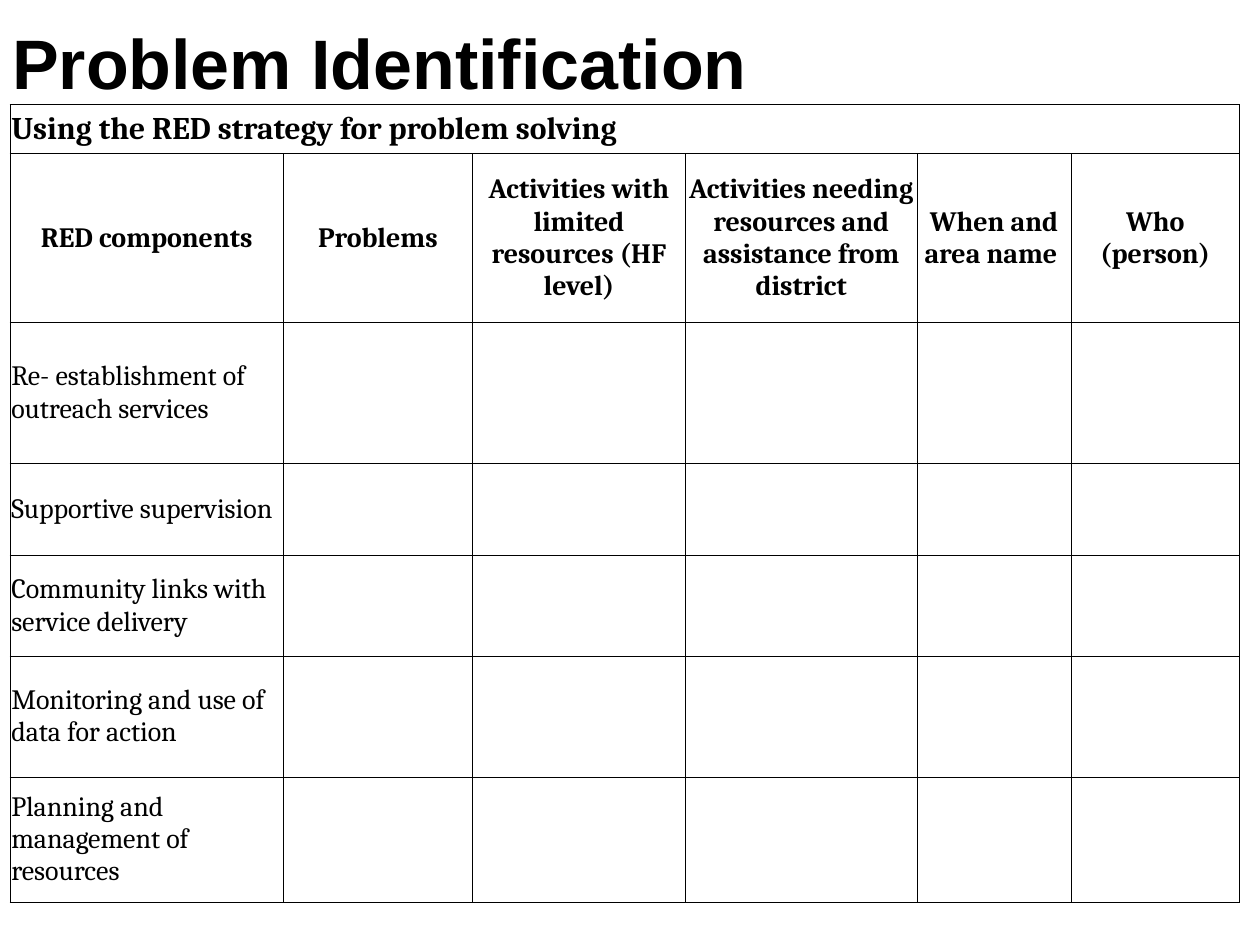
from dataclasses import dataclass

from lxml import etree
from pptx import Presentation
from pptx import util as u
from pptx.dml.color import RGBColor
from pptx.enum import text
from pptx.oxml.ns import qn

BLACK = "000000"
BORDER_WIDTH = u.Pt(0.45)
COLUMN_WIDTHS = (2.17, 1.5, 1.69, 1.84, 1.22, 1.34)
ROW_HEIGHTS = (0.31, 1.34, 1.12, 0.73, 0.8, 0.96, 0.99)
CAPTION = "Using the RED strategy for problem solving"
HEADINGS = (
    "RED components",
    "Problems",
    "Activities with limited resources (HF level)",
    "Activities needing resources and assistance from district",
    "When and area name ",
    "Who (person)",
)
COMPONENTS = (
    "Re- establishment of outreach services",
    "Supportive supervision",
    "Community links with service delivery",
    "Monitoring and use of data for action",
    "Planning and management of resources",
)


@dataclass(frozen=True)
class TextStyle:
    size: int
    bold: bool = False
    font: str = "Cambria"
    alignment: text.PP_ALIGN = text.PP_ALIGN.LEFT
    anchor: text.MSO_ANCHOR = text.MSO_ANCHOR.MIDDLE


TITLE_STYLE = TextStyle(40, bold=True, font="Arial")
CAPTION_STYLE = TextStyle(18, bold=True, anchor=text.MSO_ANCHOR.BOTTOM)
HEADING_STYLE = TextStyle(16, bold=True, alignment=text.PP_ALIGN.CENTER)
COMPONENT_STYLE = TextStyle(16)


def color(value: str) -> RGBColor:
    return RGBColor.from_string(value)


def write(container, wording: str, style: TextStyle) -> None:
    """Put styled wording in a table cell or a text frame."""
    container.vertical_anchor = style.anchor
    frame = getattr(container, "text_frame", container)
    frame.text = wording
    paragraph = frame.paragraphs[0]
    paragraph.alignment = style.alignment
    font = paragraph.runs[0].font
    font.name = style.font
    font.size = u.Pt(style.size)
    font.bold = style.bold
    font.color.rgb = color(BLACK)


def outline(cell) -> None:
    """Draw a thin border on all four sides of the cell."""
    properties = cell._tc.get_or_add_tcPr()
    for side in ("a:lnL", "a:lnR", "a:lnT", "a:lnB"):
        line = etree.SubElement(properties, qn(side), w=str(int(BORDER_WIDTH)))
        fill = etree.SubElement(line, qn("a:solidFill"))
        etree.SubElement(fill, qn("a:srgbClr"), val=BLACK)


def add_title(slide) -> None:
    box = slide.shapes.add_textbox(
        u.Inches(0), u.Inches(0.17), u.Inches(10), u.Inches(0.63)
    )
    box.text_frame.word_wrap = True
    write(box.text_frame, "Problem Identification", TITLE_STYLE)


def add_planning_table(slide) -> None:
    table = slide.shapes.add_table(
        len(ROW_HEIGHTS), len(COLUMN_WIDTHS),
        u.Inches(0.08), u.Inches(0.83),
        u.Inches(sum(COLUMN_WIDTHS)), u.Inches(sum(ROW_HEIGHTS)),
    ).table
    table.first_row = False
    table.horz_banding = False
    for column, width in zip(table.columns, COLUMN_WIDTHS):
        column.width = u.Inches(width)
    for row, height in zip(table.rows, ROW_HEIGHTS):
        row.height = u.Inches(height)
    for cell in table.iter_cells():
        cell.margin_left = cell.margin_right = u.Inches(0.01)
        outline(cell)
        cell.fill.background()

    table.cell(0, 0).merge(table.cell(0, len(COLUMN_WIDTHS) - 1))
    write(table.cell(0, 0), CAPTION, CAPTION_STYLE)
    for column_index, heading in enumerate(HEADINGS):
        write(table.cell(1, column_index), heading, HEADING_STYLE)
    for row_index, component in enumerate(COMPONENTS, start=2):
        write(table.cell(row_index, 0), component, COMPONENT_STYLE)


def main() -> None:
    presentation = Presentation()
    presentation.slide_width = u.Inches(10)
    presentation.slide_height = u.Inches(7.5)
    slide = presentation.slides.add_slide(presentation.slide_layouts[6])
    add_planning_table(slide)
    add_title(slide)
    presentation.save("out.pptx")


if __name__ == "__main__":
    main()
